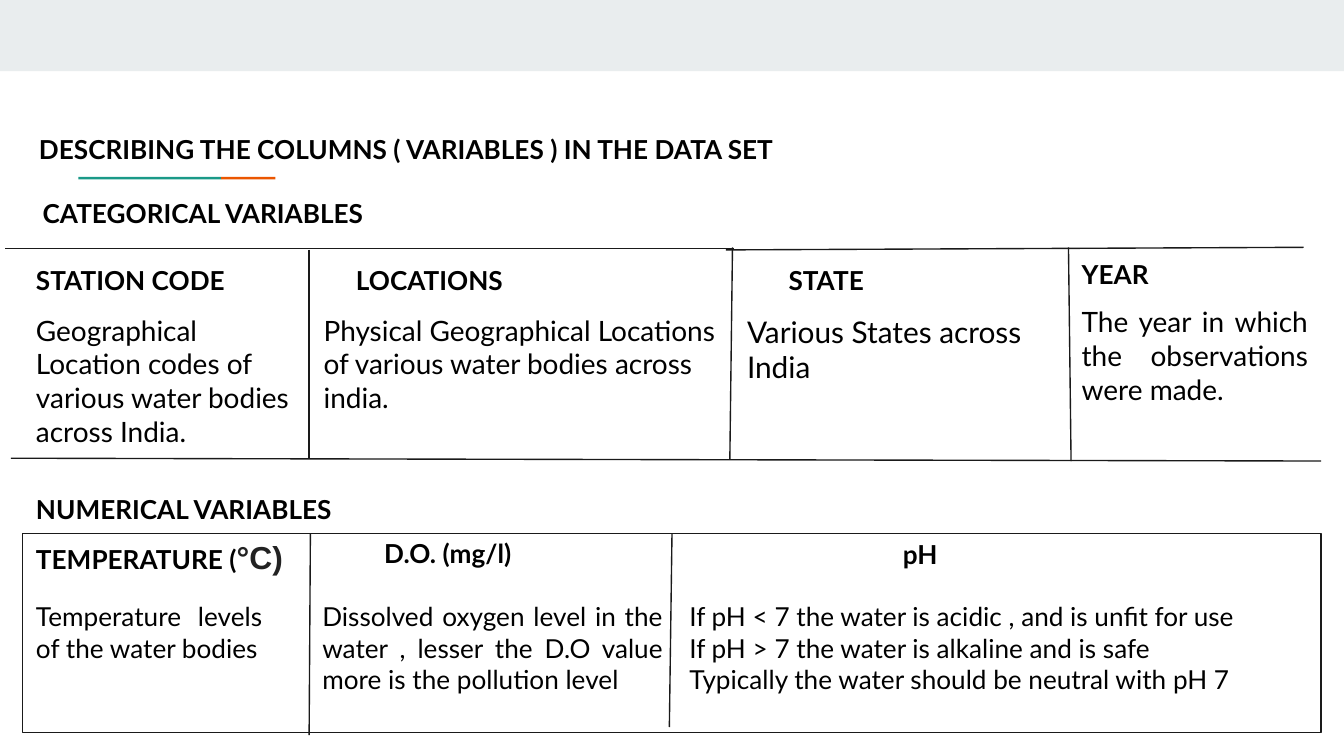
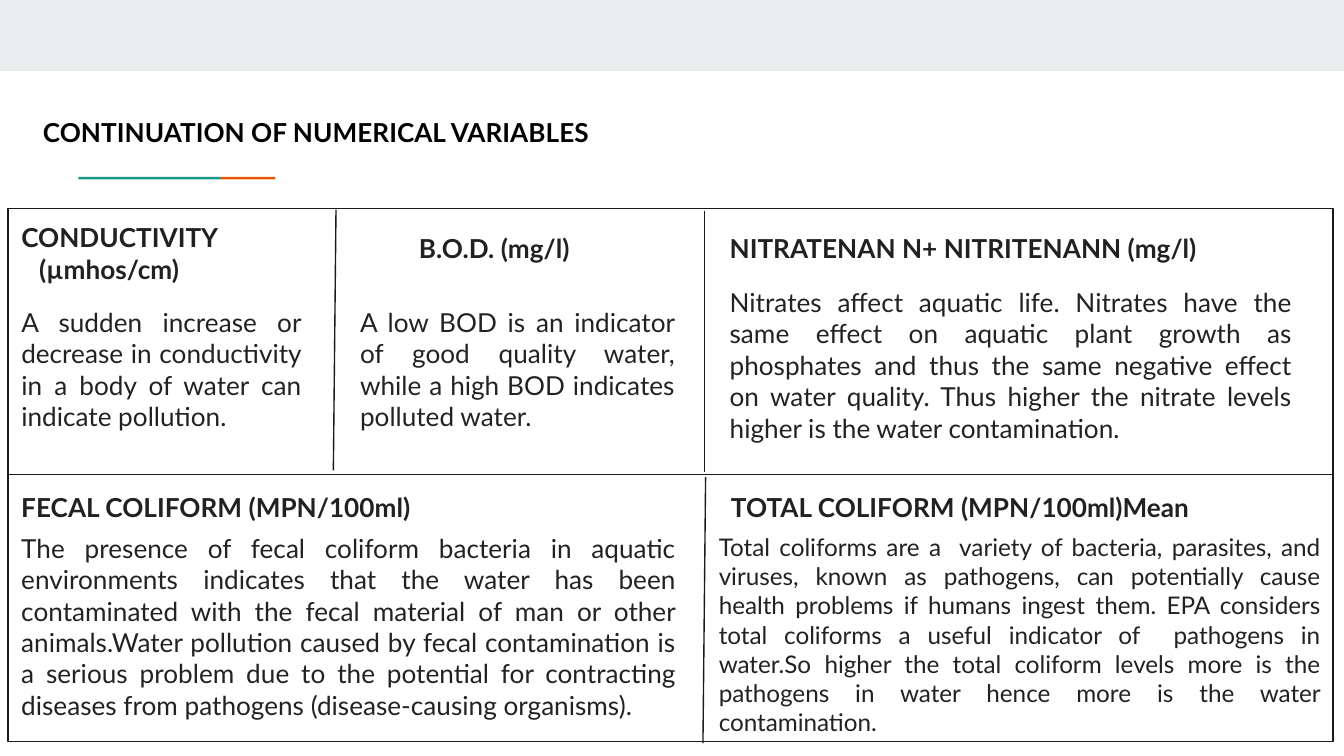
from pptx import Presentation
from pptx.dml.color import RGBColor
from pptx.enum.shapes import MSO_CONNECTOR, MSO_SHAPE
from pptx.enum.text import MSO_ANCHOR, MSO_AUTO_SIZE, PP_ALIGN
from pptx.oxml.ns import qn
from pptx.util import Pt
from lxml import etree

RECT = MSO_SHAPE.RECTANGLE
LINE = MSO_CONNECTOR.STRAIGHT
TOP = MSO_ANCHOR.TOP
FIXED = MSO_AUTO_SIZE.NONE
LEFT = PP_ALIGN.LEFT
JUST = PP_ALIGN.JUSTIFY


class Theme:
    band = "E9EDEE"
    teal = "1A9988"
    orange = "EB5600"
    rule = "1A1A1A"
    paper = "FFFFFF"
    black = "000000"
    dark = "212121"
    grey = "222222"
    font = "Lato"
    sign = "Arial"
    head = 14
    unit = 17
    small = 13
    mid = 15
    large = 16
    pad = 7.2
    thin = 0.75


def write(shape, text, color, size=Theme.head, bold=False, align=LEFT):
    frame = shape.text_frame
    pad = Pt(Theme.pad)
    layout = {"word_wrap": True, "auto_size": FIXED, "vertical_anchor": TOP,
              "margin_left": pad, "margin_right": pad,
              "margin_top": pad, "margin_bottom": pad}
    for key, val in layout.items():
        setattr(frame, key, val)
    frame.text = text
    for para in frame.paragraphs:
        para.alignment = align
        for run in para.runs:
            look = {"name": Theme.font, "size": Pt(size), "bold": bold}
            for key, val in look.items():
                setattr(run.font, key, val)
            run.font.color.rgb = RGBColor.from_string(color)
    return frame.paragraphs[0]


def block(shapes, area, fill):
    shape = shapes.add_shape(RECT, *map(Pt, area))
    shape.shadow.inherit = False
    shape.fill.solid()
    shape.fill.fore_color.rgb = RGBColor.from_string(fill)
    shape.line.fill.background()
    return shape


PAGES = [
    {
        "title": ("DESCRIBING THE COLUMNS ( VARIABLES ) IN THE DATA SET",
                  (13.7, 64, 588, 34.5)),
        "box": (12.2, 285.8, 695.5, 106.6),
        "inks": (Theme.black, Theme.black),
        "lines": [
            (165.6, 133.9, 165.6, 245.5), (392.4, 132.5, 391, 246.2),
            (572.4, 132.5, 573.8, 247), (5.8, 245.5, 707.8, 247),
            (2.9, 133.2, 393.1, 133.2), (388.8, 133.9, 698.4, 132.5),
            (166.3, 285.8, 165.6, 393.8), (358.6, 389.5, 360, 285.8),
        ],
        "heads": [
            ("CATEGORICAL VARIABLES", 15.8, 98.6, 299.5),
            ("NUMERICAL VARIABLES", 12.2, 257, 232.6),
            ("STATION CODE", 12.2, 134.6, 154),
            ("LOCATIONS", 183.6, 134.6, 114.5),
            ("STATE", 415.4, 134.6, 67.7),
            ("YEAR", 572.4, 131, 141.8),
            ("TEMPERATURE (", 12.2, 280.8, 154),
            ("D.O. (mg/l)", 198.7, 280.8, 99.4),
            ("pH", 476.6, 281.5, 193),
        ],
        "notes": [
            ("Geographical Location codes of various water bodies across India.",
             (12.2, 160.6, 154, 80.6), Theme.mid, LEFT),
            ("Physical Geographical Locations of various water bodies across india.",
             (166.3, 160.6, 239.8, 64), Theme.mid, LEFT),
            ("Various States across India",
             (393.1, 160.6, 178.6, 47.5), Theme.large, LEFT),
            ("The year in which the observations were made.",
             (572.4, 156.2, 135.4, 80.6), Theme.mid, JUST),
            ("Temperature levels of the water bodies",
             (12.2, 314.6, 135.4, 67), Theme.head, JUST),
            ("Dissolved oxygen level in the water , lesser the D.O value "
             "more is the pollution level",
             (165.6, 314.6, 196.6, 72.7), Theme.head, JUST),
            ("If pH < 7 the water is acidic , and is unfit for use\n"
             "If pH > 7 the water is alkaline and is safe\n"
             "Typically the water should be neutral with pH 7",
             (362.2, 314.6, 325.4, 67), Theme.head, JUST),
        ],
    },
    {
        "title": ("CONTINUATION OF NUMERICAL VARIABLES",
                  (15.8, 55.4, 600, 34)),
        "box": (4.3, 111.6, 709.9, 285.8),
        "inks": (Theme.dark, Theme.grey),
        "lines": [
            (180, 112.3, 178.6, 252), (377.3, 113, 377.3, 252.7),
            (4.3, 254.2, 713.5, 254.2), (378, 255.6, 376.6, 398.2),
        ],
        "heads": [
            ("CONDUCTIVITY (µmhos/cm)", 4.3, 111.6, 123.8),
            ("B.O.D. (mg/l)", 217.4, 117.4, 105.8),
            ("NITRATENAN N+ NITRITENANN (mg/l)", 383.8, 117.4, 289.4),
            ("FECAL COLIFORM (MPN/100ml)", 4.3, 256.3, 239.8),
            ("TOTAL COLIFORM (MPN/100ml)Mean", 384.5, 256.3, 289.4),
        ],
        "notes": [
            ("A sudden increase or decrease in conductivity in a body of water "
             "can indicate pollution.",
             (4.3, 157, 164.2, 80), Theme.head, JUST),
            ("A low BOD is an indicator of good quality water, while a high BOD "
             "indicates polluted water.",
             (185.8, 157, 182.9, 74.2), Theme.head, JUST),
            ("Nitrates affect aquatic life. Nitrates have the same effect on "
             "aquatic plant growth as phosphates and thus the same negative "
             "effect on water quality. Thus higher the nitrate levels higher "
             "is the water contamination.",
             (383.8, 146.2, 315.4, 95), Theme.head, JUST),
            ("The presence of fecal coliform bacteria in aquatic environments "
             "indicates that the water has been contaminated with the fecal "
             "material of man or other animals.Water pollution caused by fecal "
             "contamination is a serious problem due to the potential for "
             "contracting diseases from pathogens (disease-causing organisms).",
             (4.3, 278, 365, 107.3), Theme.head, JUST),
            ("Total coliforms are a  variety of bacteria, parasites, and "
             "viruses, known as pathogens, can potentially cause health "
             "problems if humans ingest them. EPA considers total coliforms a "
             "useful indicator of  pathogens in water.So higher the total "
             "coliform levels more is the pathogens in water hence more is the "
             "water contamination.",
             (378, 278, 336.2, 123), Theme.small, JUST),
        ],
    },
]

deck = Presentation()
deck.slide_width, deck.slide_height = Pt(720), Pt(405)
base = deck.slide_layouts[5]

for index, page in enumerate(PAGES):
    slide = deck.slides.add_slide(base)
    shapes = slide.shapes
    if index == 0:
        for area, fill in [((0, 0, 720, 38.2), Theme.band),
                           ((42, 94.7, 76.5, 1.4), Theme.teal),
                           ((118.5, 94.7, 29, 1.4), Theme.orange)]:
            part = block(shapes, area, fill)
            base.shapes._spTree.append(part._element)

    text, area = page["title"]
    title = shapes.title
    for key, val in zip(("left", "top", "width", "height"), area):
        setattr(title, key, Pt(val))
    write(title, text, Theme.black, bold=True)

    box = block(shapes, page["box"], Theme.paper)
    box.line.color.rgb = RGBColor.from_string(Theme.rule)
    box.line.width = Pt(Theme.thin)

    for ends in page["lines"]:
        rule = shapes.add_connector(LINE, *map(Pt, ends))
        rule.line.color.rgb = RGBColor.from_string(Theme.rule)
        rule.line.width = Pt(Theme.thin)
        etree.SubElement(rule._element.spPr, qn("a:effectLst"))

    ink, tone = page["inks"]
    for text, left, top, width in page["heads"]:
        label = shapes.add_textbox(Pt(left), Pt(top), Pt(width), Pt(31))
        para = write(label, text, ink, bold=True)
        if text.startswith("TEMP"):
            run = para.add_run()
            run.text = "°C)"
            look = {"name": Theme.sign, "size": Pt(Theme.unit), "bold": True}
            for key, val in look.items():
                setattr(run.font, key, val)
            run.font.color.rgb = RGBColor.from_string(Theme.grey)
        if text.startswith("COND"):
            label.height = Pt(45.4)
            props = para._p.get_or_add_pPr()
            for key, val in {"marL": 9.6, "indent": -9.6}.items():
                props.set(key, str(Pt(val)))

    for text, area, size, align in page["notes"]:
        note = shapes.add_textbox(*map(Pt, area))
        write(note, text, tone, size, align=align)

deck.save("out.pptx")
